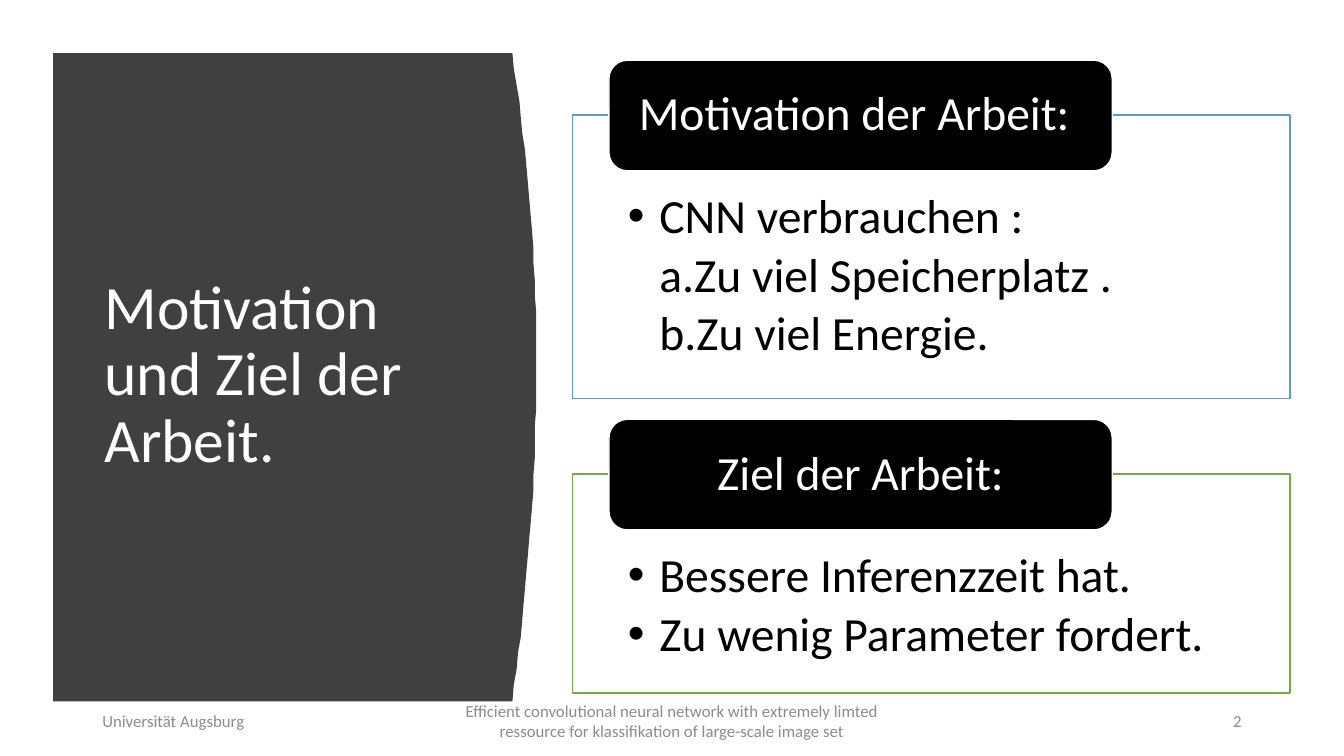
from dataclasses import dataclass

from lxml import etree
from pptx import Presentation
from pptx.dml.color import RGBColor
from pptx.enum import shapes, text
from pptx.oxml import ns
from pptx.util import Pt


@dataclass(frozen=True)
class Theme:
    font: str = "Calibri"
    title_size: int = 44
    body_size: int = 34
    footer_size: int = 12
    dark: str = "404040"
    black: str = "000000"
    white: str = "FFFFFF"
    grey: str = "8C8C8C"
    blue: str = "5B9BD5"
    green: str = "70AD47"


THEME = Theme()
ALIGN = text.PP_ALIGN
BULLET = ("buChar", {"char": "•"})
LETTER = ("buAutoNum", {"type": "alphaLcPeriod"})


def place(shape, left, top, width, height):
    shape.left, shape.top = Pt(left), Pt(top)
    shape.width, shape.height = Pt(width), Pt(height)


def paint(shape, fill, line=None):
    shape.fill.solid()
    shape.fill.fore_color.rgb = RGBColor.from_string(fill)
    if line:
        shape.line.color.rgb = RGBColor.from_string(line)
        shape.line.width = Pt(1)
    else:
        shape.line.fill.background()


def set_frame(shape, anchor=text.MSO_ANCHOR.MIDDLE, insets=(7.2, 3.6, 7.2, 3.6)):
    frame = shape.text_frame
    frame.word_wrap = True
    frame.auto_size = text.MSO_AUTO_SIZE.NONE
    frame.vertical_anchor = anchor
    frame.margin_left, frame.margin_top, frame.margin_right, frame.margin_bottom = map(Pt, insets)
    return frame


def write(paragraph, words, size, color, align=ALIGN.LEFT, spacing=0.9, after=0, bullet=None, level=0):
    paragraph.level = level
    paragraph.alignment = align
    paragraph.line_spacing = spacing
    paragraph.space_before = Pt(0)
    paragraph.space_after = Pt(after)
    if bullet:
        properties = paragraph._p.get_or_add_pPr()
        properties.set("marL", str(Pt(22.5 * (level + 1))))
        properties.set("indent", str(Pt(-22.5)))
        tag, attributes = bullet
        etree.SubElement(properties, ns.qn(f"a:{tag}"), attributes)
    run = paragraph.add_run()
    run.text = words
    run.font.name = THEME.font
    run.font.size = Pt(size)
    run.font.color.rgb = RGBColor.from_string(color)


def add_title_panel(slide, words, left, top, width, height):
    bulge, peak, steps = 17.5, 0.48, 40
    edge = []
    for step in range(steps + 1):
        fraction = step / steps
        reach = peak if fraction < peak else 1 - peak
        edge.append((left + width - bulge * ((fraction - peak) / reach) ** 2, top + height * fraction))
    builder = slide.shapes.build_freeform(left, top, scale=Pt(1))
    builder.add_line_segments(edge + [(left, top + height)], close=True)
    panel = builder.convert_to_shape()
    panel.shadow.inherit = False
    paint(panel, THEME.dark)
    title = slide.shapes.title
    title._element.addprevious(panel._element)
    place(title, left + 29.5, top + 42.5, 269.5, 377)
    write(set_frame(title).paragraphs[0], words, THEME.title_size, THEME.white)


def add_topic(slide, body, heading, items, color, align, left, top, width, height):
    place(body, left, top, width, height)
    paint(body, THEME.white, color)
    frame = set_frame(body, text.MSO_ANCHOR.TOP, (39.5, 55.5, 39.5, 18.5))
    for index, (words, bullet, level) in enumerate(items):
        paragraph = frame.add_paragraph() if index else frame.paragraphs[0]
        write(paragraph, words, THEME.body_size, THEME.black, after=5, bullet=bullet, level=level)

    tab = slide.shapes.add_shape(
        shapes.MSO_SHAPE.ROUNDED_RECTANGLE, Pt(left + 26), Pt(top - 39), Pt(359.5), Pt(79))
    tab.shadow.inherit = False
    paint(tab, THEME.black, THEME.white)
    frame = set_frame(tab, insets=(17.5, 0, 17.5, 0))
    write(frame.paragraphs[0], heading, THEME.body_size, THEME.white, align)


def add_footer(slide, entries, top, height):
    for words, align, left, width in entries:
        box = slide.shapes.add_textbox(Pt(left), Pt(top), Pt(width), Pt(height))
        write(set_frame(box).paragraphs[0], words, THEME.footer_size, THEME.grey, align, spacing=1)


def main():
    presentation = Presentation()
    presentation.slide_width, presentation.slide_height = Pt(960), Pt(540)
    slide = presentation.slides.add_slide(presentation.slide_layouts[3])
    motivation_body, goal_body = slide.placeholders[1], slide.placeholders[2]

    add_title_panel(slide, "Motivation und Ziel der Arbeit.", 38, 37.5, 345, 463.5)
    add_topic(slide, motivation_body, "Motivation der Arbeit:", [
        ("CNN verbrauchen :", BULLET, 0),
        ("Zu viel Speicherplatz .", LETTER, 1),
        ("Zu viel Energie.", LETTER, 1),
    ], THEME.blue, ALIGN.LEFT, 409, 82, 512.5, 202.5)
    add_topic(slide, goal_body, "Ziel der Arbeit:", [
        ("Bessere Inferenzzeit hat.", BULLET, 0),
        ("Zu wenig Parameter fordert.", BULLET, 0),
    ], THEME.green, ALIGN.CENTER, 409, 338.5, 512.5, 156.5)
    add_footer(slide, [
        ("Universität Augsburg", ALIGN.LEFT, 66, 216),
        ("Efficient convolutional neural network with extremely limted ressource "
         "for klassifikation of large-scale image set", ALIGN.CENTER, 318, 324),
        ("2", ALIGN.RIGHT, 678, 216),
    ], 500.5, 29)
    presentation.save("out.pptx")


if __name__ == "__main__":
    main()
